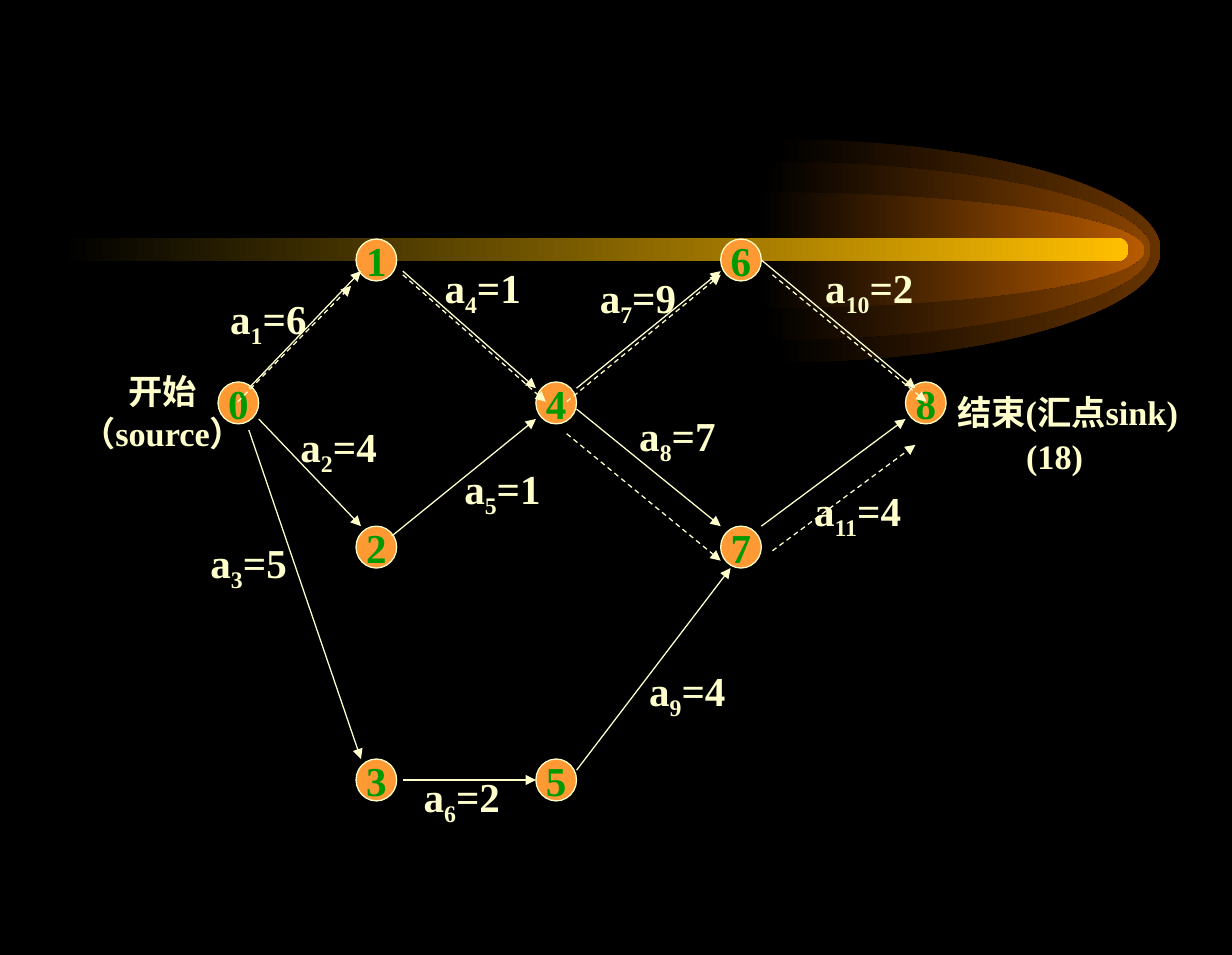
from dataclasses import dataclass

from lxml.etree import SubElement
from pptx import Presentation
from pptx.dml.color import RGBColor
from pptx.enum.dml import MSO_LINE_DASH_STYLE as Dash
from pptx.enum.shapes import MSO_CONNECTOR as Connector, MSO_SHAPE as Shape
from pptx.enum.text import MSO_ANCHOR as Anchor, MSO_AUTO_SIZE as AutoSize, PP_ALIGN as Align
from pptx.oxml.ns import qn
from pptx.util import Emu, Pt

PX = 9144  # 100 px to the inch
ROUND = 0.55  # Bezier handle length of a quarter ellipse


@dataclass(frozen=True)
class Theme:
    background: str = "000000"
    ink: str = "FFFFCC"
    node: str = "FF9933"
    number: str = "009900"
    beam: str = "FFBF00"
    glows: tuple = ("663300", "894400", "B75B00")
    font: str = "Times New Roman"
    large: int = 24
    small: int = 20
    line: float = 0.75


def px(*lengths):
    return [Emu(length * PX) for length in lengths]


def rgb(color):
    return RGBColor.from_string(color)


class Painter:
    def __init__(self, slide, theme):
        self.slide, self.theme = slide, theme
        slide.background.fill.solid()
        slide.background.fill.fore_color.rgb = rgb(theme.background)

    def fade(self, shape, color):
        shape.shadow.inherit = False
        shape.line.fill.background()
        shape.fill.gradient()
        shape.fill.gradient_angle = 0
        for stop, position, tone in zip(
            shape.fill.gradient_stops, (0, 1), (self.theme.background, color)
        ):
            stop.position = position
            stop.color.rgb = rgb(tone)

    def half_ellipse(self, left, top, width, height, color):
        builder = self.slide.shapes.build_freeform(left, top, scale=PX)
        builder.add_line_segments(
            [(left + width, top + height / 2), (left, top + height)], close=True)
        shape = builder.convert_to_shape()
        # Bend the two straight sides into quarter ellipses
        curves = (
            ((ROUND, 0), (1, (1 - ROUND) / 2), (1, 0.5)),
            ((1, (1 + ROUND) / 2), (ROUND, 1), (0, 1)),
        )
        sides = list(shape._element.iter(qn("a:lnTo")))
        for side, curve in zip(sides, curves):
            outline = side.getparent()
            across, down = int(outline.get("w")), int(outline.get("h"))
            bend = SubElement(outline, qn("a:cubicBezTo"))
            for x, y in curve:
                SubElement(bend, qn("a:pt"), x=str(round(x * across)), y=str(round(y * down)))
            outline.replace(side, bend)
        self.fade(shape, color)

    def beam(self, left, top, width, height, color):
        shape = self.slide.shapes.add_shape(
            Shape.ROUNDED_RECTANGLE, *px(left, top, width, height))
        shape.adjustments[0] = 0.5
        self.fade(shape, color)

    def add_run(self, paragraph, text, size, color, subscript=False):
        run = paragraph.add_run()
        run.text = text
        font = run.font
        font.name, font.size, font.bold = self.theme.font, Pt(size), True
        font.color.rgb = rgb(color)
        if subscript:
            run._r.get_or_add_rPr().set("baseline", "-25000")

    def node(self, number, left, top, width=33, height=34):
        shape = self.slide.shapes.add_shape(Shape.OVAL, *px(left, top, width, height))
        shape.shadow.inherit = False
        shape.fill.solid()
        shape.fill.fore_color.rgb = rgb(self.theme.node)
        shape.line.color.rgb = rgb(self.theme.ink)
        shape.line.width = Pt(self.theme.line)
        frame = shape.text_frame
        frame.word_wrap = False
        frame.vertical_anchor = Anchor.MIDDLE
        paragraph = frame.paragraphs[0]
        paragraph.alignment = Align.CENTER
        self.add_run(paragraph, str(number), self.theme.large, self.theme.number)

    def arrow(self, start, end, dashed=False):
        connector = self.slide.shapes.add_connector(
            Connector.STRAIGHT, *px(*start, *end))
        connector.line.color.rgb = rgb(self.theme.ink)
        connector.line.width = Pt(self.theme.line)
        if dashed:
            connector.line.dash_style = Dash.DASH
        line = connector.line._get_or_add_ln()
        SubElement(line, qn("a:tailEnd"), type="triangle")
        SubElement(connector._element.spPr, qn("a:effectLst"))

    def text_frame(self, left, top, width, height, wrap=False):
        frame = self.slide.shapes.add_textbox(*px(left, top, width, height)).text_frame
        frame.word_wrap = wrap
        frame.auto_size = AutoSize.SHAPE_TO_FIT_TEXT
        return frame

    def activity_label(self, index, duration, left, top):
        width = 82 if index < 10 else 92
        paragraph = self.text_frame(left, top, width, 56).paragraphs[0]
        for text, subscript in (("a", False), (str(index), True), (f"={duration}", False)):
            self.add_run(paragraph, text, self.theme.large, self.theme.ink, subscript)

    def caption(self, lines, left, top, width, height, align=Align.LEFT, wrap=False):
        frame = self.text_frame(left, top, width, height, wrap)
        for index, text in enumerate(lines):
            paragraph = frame.add_paragraph() if index else frame.paragraphs[0]
            paragraph.alignment = align
            self.add_run(paragraph, text, self.theme.small, self.theme.ink)


# Events: number -> (column, row) on the grid
COLUMNS = (177, 289, 435, 585, 735)
ROWS = (194, 310, 427, 616)
EVENTS = {
    0: (0, 1), 1: (1, 0), 2: (1, 2), 3: (1, 3), 4: (2, 1),
    5: (2, 3), 6: (3, 0), 7: (3, 2), 8: (4, 1),
}

# Activities a1 to a11: duration, label corner, arrow start, arrow end
ACTIVITIES = (
    (6, (177, 233), (202, 315), (293, 220)),
    (4, (234, 337), (210, 340), (293, 427)),
    (5, (161, 431), (202, 349), (293, 616)),
    (1, (351, 208), (327, 220), (435, 315)),
    (1, (367, 371), (318, 435), (435, 340)),
    (2, (334, 621), (327, 633), (435, 633)),
    (9, (477, 216), (468, 315), (585, 220)),
    (7, (509, 328), (468, 332), (585, 427)),
    (4, (517, 535), (468, 625), (593, 461)),
    (2, (660, 208), (618, 211), (743, 315)),
    (4, (651, 389), (618, 427), (735, 340)),
)

# Dashed arrows along the critical paths
CRITICAL = (
    ((193, 326), (285, 232)),
    ((327, 223), (443, 326)),
    ((460, 326), (585, 223)),
    ((460, 352), (585, 455)),
    ((627, 447), (743, 361)),
    ((627, 223), (752, 326)),
)


def main():
    theme = Theme()
    presentation = Presentation()
    presentation.slide_width, presentation.slide_height = px(1000, 775)
    slide = presentation.slides.add_slide(presentation.slide_layouts[6])
    painter = Painter(slide, theme)

    # Comet backdrop
    glow_boxes = ((629, 113, 313, 181), (621, 131, 313, 145), (616, 156, 313, 94))
    for box, color in zip(glow_boxes, theme.glows):
        painter.half_ellipse(*box, color)
    painter.beam(50, 193, 866, 19, theme.beam)

    # Event network
    for number, (column, row) in EVENTS.items():
        painter.node(number, COLUMNS[column], ROWS[row])
    for _, _, start, end in ACTIVITIES:
        painter.arrow(start, end)
    for index, (duration, corner, _, _) in enumerate(ACTIVITIES, 1):
        painter.activity_label(index, duration, *corner)
    for start, end in CRITICAL:
        painter.arrow(start, end, dashed=True)

    # Source and sink captions
    painter.caption(("开始", "（source）"), 49, 296, 166, 77, Align.CENTER)
    painter.caption(("结束(汇点sink)",), 767, 313, 219, 44)
    painter.caption(("(18)",), 823, 348, 110, 44, wrap=True)

    presentation.save("out.pptx")


if __name__ == "__main__":
    main()
